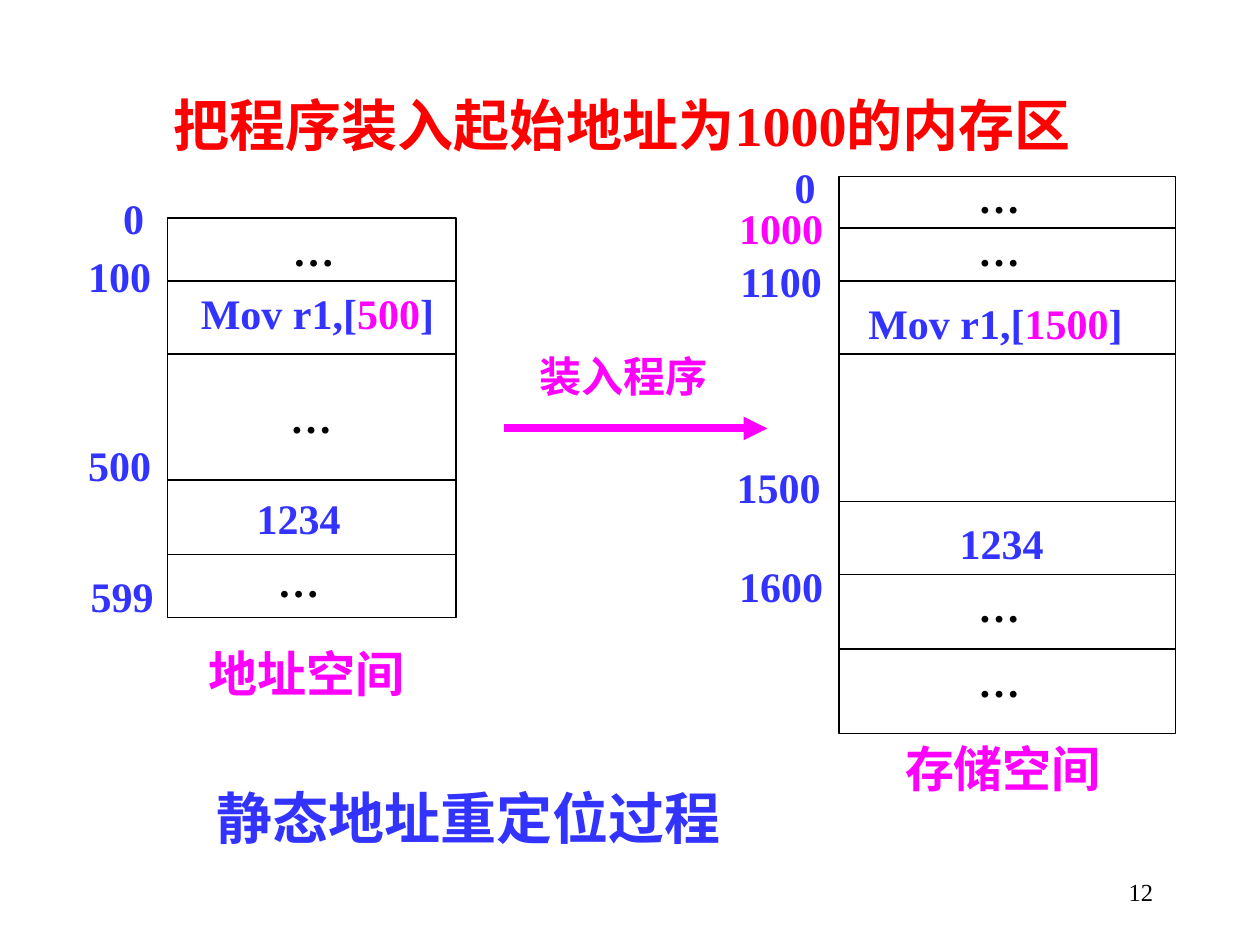
from dataclasses import dataclass

from lxml import etree
from pptx import Presentation
from pptx import util as u
from pptx.dml.color import RGBColor
from pptx.enum import shapes, text
from pptx.oxml.ns import qn

PX = 9144  # 100 px to the inch


@dataclass(frozen=True)
class Theme:
    font: str = "Times New Roman"
    ink: str = "000000"
    paper: str = "FFFFFF"
    blue: str = "3333FF"
    pink: str = "FF00FF"
    red: str = "FF0000"
    title: int = 32
    name: int = 28
    body: int = 24
    small: int = 14


T = Theme()
MID = text.PP_ALIGN.CENTER


def px(*vals):
    return [u.Emu(v * PX) for v in vals]


def rgb(code):
    return RGBColor.from_string(code)


def write(shape, runs, size, bold=True, align=MID, anchor=text.MSO_ANCHOR.TOP):
    """Fill a shape with one paragraph of (words, colour) runs."""
    frame = shape.text_frame
    frame.word_wrap = True
    frame.vertical_anchor = anchor
    para = frame.paragraphs[0]
    para.alignment = align
    para.font.name, para.font.size, para.font.bold = T.font, u.Pt(size), bold
    for words, color in runs:
        run = para.add_run()
        run.text = words
        run.font.color.rgb = rgb(color)


def label(slide, mid, top, wide, runs, size=T.body):
    """Place a text box centred on mid."""
    high = 50 if size == T.body else 64
    box = slide.shapes.add_textbox(*px(mid - wide // 2, top, wide, high))
    write(box, runs, size)


def rule(slide, x1, y1, x2, y2, color=T.ink, width=0.75):
    line = slide.shapes.add_connector(
        shapes.MSO_CONNECTOR.STRAIGHT, *px(x1, y1, x2, y2))
    line.line.color.rgb = rgb(color)
    line.line.width = u.Pt(width)
    etree.SubElement(line._element.spPr, qn("a:effectLst"))
    return line


def title(slide, box, words):
    head = slide.shapes.title
    head.left, head.top, head.width, head.height = px(*box)
    write(head, [(words, T.red)], T.title)


def memory(slide, box, cuts, marks, cells, name):
    """Draw a memory map; all offsets are relative to its box."""
    x, y, wide, high = box
    body = slide.shapes.add_shape(shapes.MSO_SHAPE.RECTANGLE, *px(*box))
    body.shadow.inherit = False
    body.fill.solid()
    body.fill.fore_color.rgb = rgb(T.paper)
    body.line.color.rgb = rgb(T.ink)
    body.line.width = u.Pt(0.75)
    for cut in cuts:
        rule(slide, x, y + cut, x + wide, y + cut)
    # Addresses on the left, then cell contents
    for dx, dy, words, color in marks:
        label(slide, x + dx, y + dy, 90, [(words, color)])
    for dx, dy, runs in cells:
        label(slide, x + dx, y + dy, 240, runs)
    # Caption below
    dx, dy, words = name
    label(slide, x + dx, y + dy, 200, [(words, T.pink)], T.name)


def loader(slide, box, words):
    """Draw the arrow along the bottom of its box, with its label on top."""
    x, y, wide, high = box
    label(slide, x + 95, y, 170, [(words, T.pink)])
    arrow = rule(slide, x, y + high, x + wide, y + high, T.pink, 4.5)
    etree.SubElement(arrow.line._get_or_add_ln(), qn("a:tailEnd"),
                     type="triangle")


def footer(slide, box, words):
    num = slide.shapes.add_textbox(*px(*box))
    write(num, [(words, T.ink)], T.small, False, text.PP_ALIGN.RIGHT,
          text.MSO_ANCHOR.MIDDLE)


def code(addr):
    return [("Mov r1,[", T.blue), (addr, T.pink), ("]", T.blue)]


def main():
    deck = Presentation()
    deck.slide_width, deck.slide_height = px(1000, 750)
    slide = deck.slides.add_slide(deck.slide_layouts[5])
    dots = [("…", T.ink)]
    data = [("1234", T.blue)]

    title(slide, (117, 67, 754, 64), "把程序装入起始地址为1000的内存区")

    # Address space of the program
    memory(
        slide, (133, 173, 229, 317), (50, 108, 208, 267),
        [(-27, -25, "0", T.blue), (-38, 21, "100", T.blue),
         (-38, 171, "500", T.blue), (-36, 275, "599", T.blue)],
        [(116, 0, dots), (119, 50, code("500")), (114, 133, dots),
         (104, 213, data), (104, 263, dots)],
        (110, 333, "地址空间"))

    # Physical storage after loading
    memory(
        slide, (666, 140, 267, 442), (41, 83, 141, 258, 316, 375),
        [(-27, -17, "0", T.blue), (-46, 16, "1000", T.pink),
         (-46, 58, "1100", T.blue), (-48, 221, "1500", T.blue),
         (-46, 300, "1600", T.blue)],
        [(127, -9, dots), (127, 33, dots), (124, 91, code("1500")),
         (129, 266, data), (127, 316, dots), (127, 375, dots)],
        (130, 441, "存储空间"))

    loader(slide, (400, 273, 209, 67), "装入程序")
    label(slide, 372, 617, 460, [("静态地址重定位过程", T.blue)], T.title)
    footer(slide, (717, 683, 208, 50), "12")
    deck.save("out.pptx")


if __name__ == "__main__":
    main()
